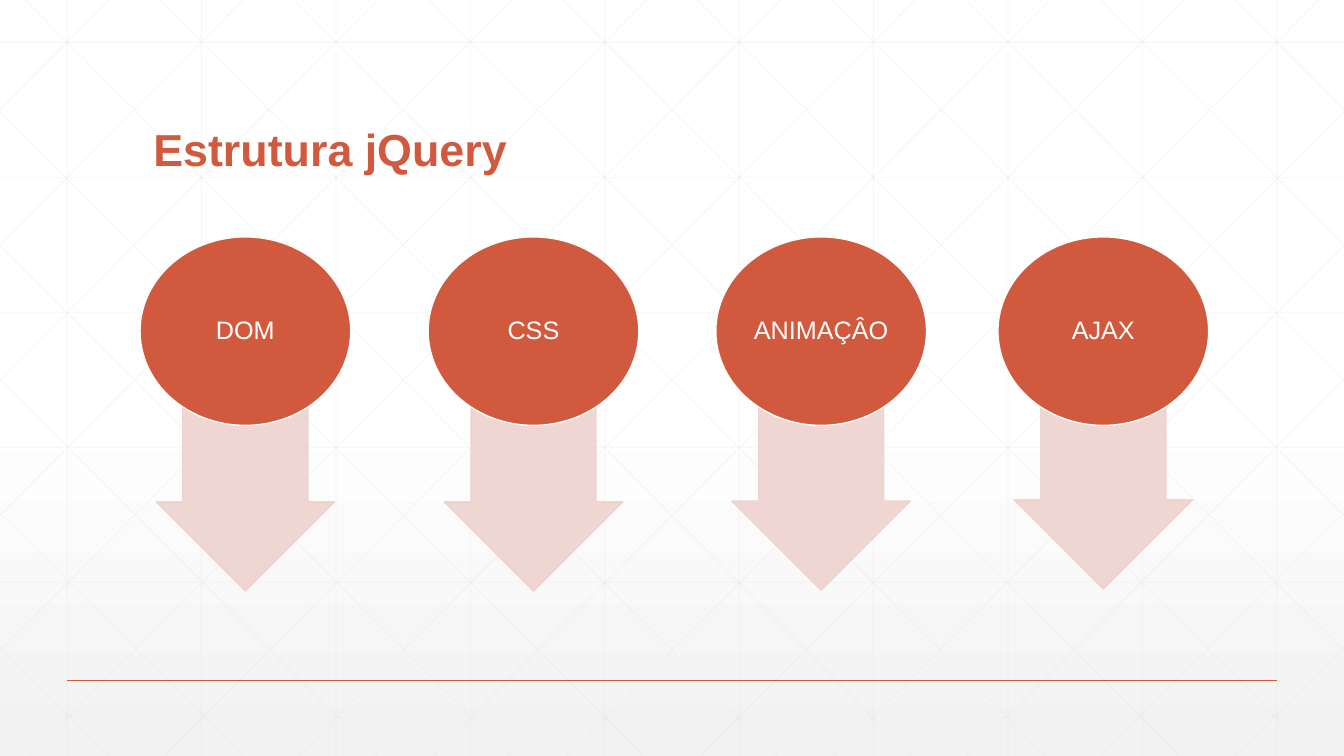
from copy import deepcopy
from lxml.etree import SubElement
from pptx import Presentation
from pptx.dml.color import RGBColor
from pptx.enum.shapes import MSO_CONNECTOR, MSO_SHAPE
from pptx.enum.text import MSO_ANCHOR, PP_ALIGN
from pptx.oxml.ns import qn
from pptx.util import Cm, Pt

WHITE = RGBColor(0xFF, 0xFF, 0xFF)
MIST = RGBColor(0xF2, 0xF2, 0xF2)
GREY = RGBColor(0xD9, 0xD9, 0xD9)
RUST = RGBColor(0xD1, 0x5A, 0x3E)
BLUSH = RGBColor(0xEE, 0xD2, 0xCE)
WIDTH, HEIGHT = 33.87, 19.05


class Deck:
    font = "Arial"

    def __init__(self):
        self.show = Presentation()
        self.show.slide_width = Cm(WIDTH)
        self.show.slide_height = Cm(HEIGHT)
        self.slide = self.show.slides.add_slide(self.show.slide_layouts[5])
        self.shapes = self.slide.shapes

    def fade(self, shape, share):
        for color in shape.element.spPr.iter(qn("a:srgbClr")):
            SubElement(color, qn("a:alpha"), val=str(share * 1000))

    def backdrop(self, top, base):
        fill = self.slide.background.fill
        fill.gradient()
        fill.gradient_angle = 270
        for stop, color in zip(fill.gradient_stops, (top, base)):
            stop.color.rgb = color
        first = next(self.slide.element.iter(qn("a:gs")))
        middle = deepcopy(first)
        middle.set("pos", "53000")
        first.addnext(middle)

    def line(self, start, end, color, width, share=100):
        points = [Cm(n) for n in (*start, *end)]
        line = self.shapes.add_connector(MSO_CONNECTOR.STRAIGHT, *points)
        line.line.color.rgb = color
        line.line.width = Pt(width)
        if share < 100:
            self.fade(line, share)
        SubElement(line.element.spPr, qn("a:effectLst"))

    def shape(self, kind, box, fill, edge):
        shape = self.shapes.add_shape(kind, *[Cm(n) for n in box])
        shape.shadow.inherit = False
        shape.fill.solid()
        shape.fill.fore_color.rgb = fill
        shape.line.color.rgb = edge
        shape.line.width = Pt(1)
        return shape

    def label(self, frame, text, size, color, align, bold=False):
        frame.text = text
        frame.word_wrap = True
        para = frame.paragraphs[0]
        para.alignment = align
        para.line_spacing = 0.9
        font = para.runs[0].font
        font.name, font.size, font.bold = self.font, Pt(size), bold
        font.color.rgb = color

    def title(self, text, box):
        title = self.shapes.title
        title.left, title.top, title.width, title.height = [Cm(n) for n in box]
        self.label(title.text_frame, text, 32, RUST, PP_ALIGN.LEFT, True)
        title.text_frame.vertical_anchor = MSO_ANCHOR.BOTTOM
        self.shapes.element.append(title.element)

    def arrow(self, box):
        arrow = self.shape(MSO_SHAPE.RIGHT_ARROW, box, BLUSH, BLUSH)
        arrow.rotation = 90
        arrow.adjustments[0] = 0.7
        arrow.adjustments[1] = 0.5
        self.fade(arrow, 90)

    def disc(self, text, box):
        disc = self.shape(MSO_SHAPE.OVAL, box, RUST, WHITE)
        frame = disc.text_frame
        frame.margin_left = frame.margin_right = Cm(0.02)
        frame.margin_top = frame.margin_bottom = Cm(0.02)
        self.label(frame, text, 18, WHITE, PP_ALIGN.CENTER)
        frame.vertical_anchor = MSO_ANCHOR.MIDDLE


def lattice(deck):
    step = WIDTH / 10
    run = 18.93
    lines = []
    for i in range(10):
        x = step * (i + 0.5)
        lines.append(((x, 0), (x, HEIGHT)))
    for i in range(6):
        y = 1.07 + 3.4 * i
        lines.append(((0, y), (WIDTH, y)))

    slants = []
    for i in range(10):
        x = 0.64 + step * i
        reach = min(run, WIDTH - x)
        slants.append(((x, 0), (x + reach, reach * HEIGHT / run)))
    for i in range(5):
        y = 2.82 + 3.37 * i
        slants.append(((0, y), (HEIGHT - y, HEIGHT)))
    for (x, y), (u, v) in slants:
        lines += [((x, y), (u, v)), ((WIDTH - x, y), (WIDTH - u, v))]

    for start, end in lines:
        deck.line(start, end, GREY, 0.5, 25)


deck = Deck()
deck.backdrop(WHITE, MIST)
lattice(deck)
deck.line((1.69, 17.15), (32.18, 17.15), RUST, 1)

topics = [
    ("DOM", 3.53, 10.08),
    ("CSS", 10.79, 10.08),
    ("ANIMAÇÂO", 18.04, 10.06),
    ("AJAX", 25.15, 10.03),
]
for name, left, top in topics:
    deck.arrow((left + 0.09, top, 5.13, 4.5))
deck.title("Estrutura jQuery", (3.61, 1.4, 26.67, 3.18))
for name, left, top in topics:
    deck.disc(name, (left, 5.97, 5.31, 4.75))

deck.show.save("out.pptx")
